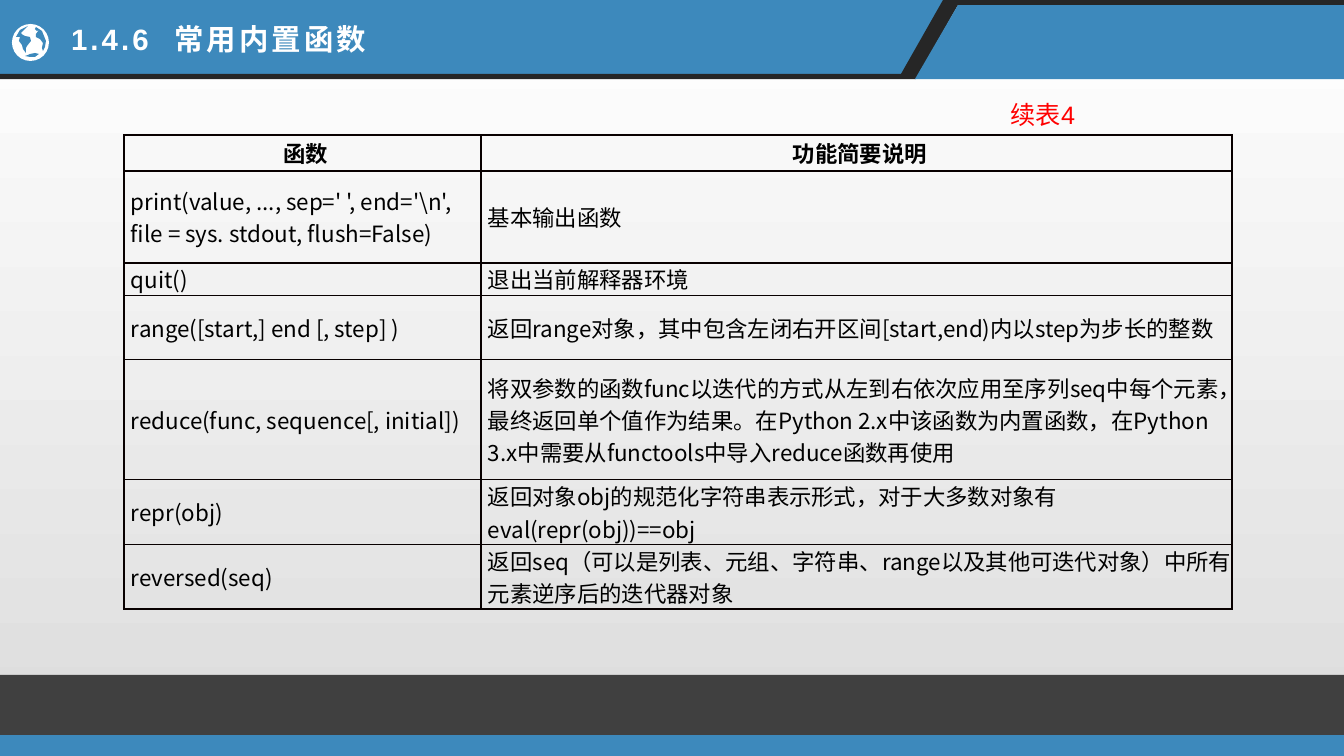
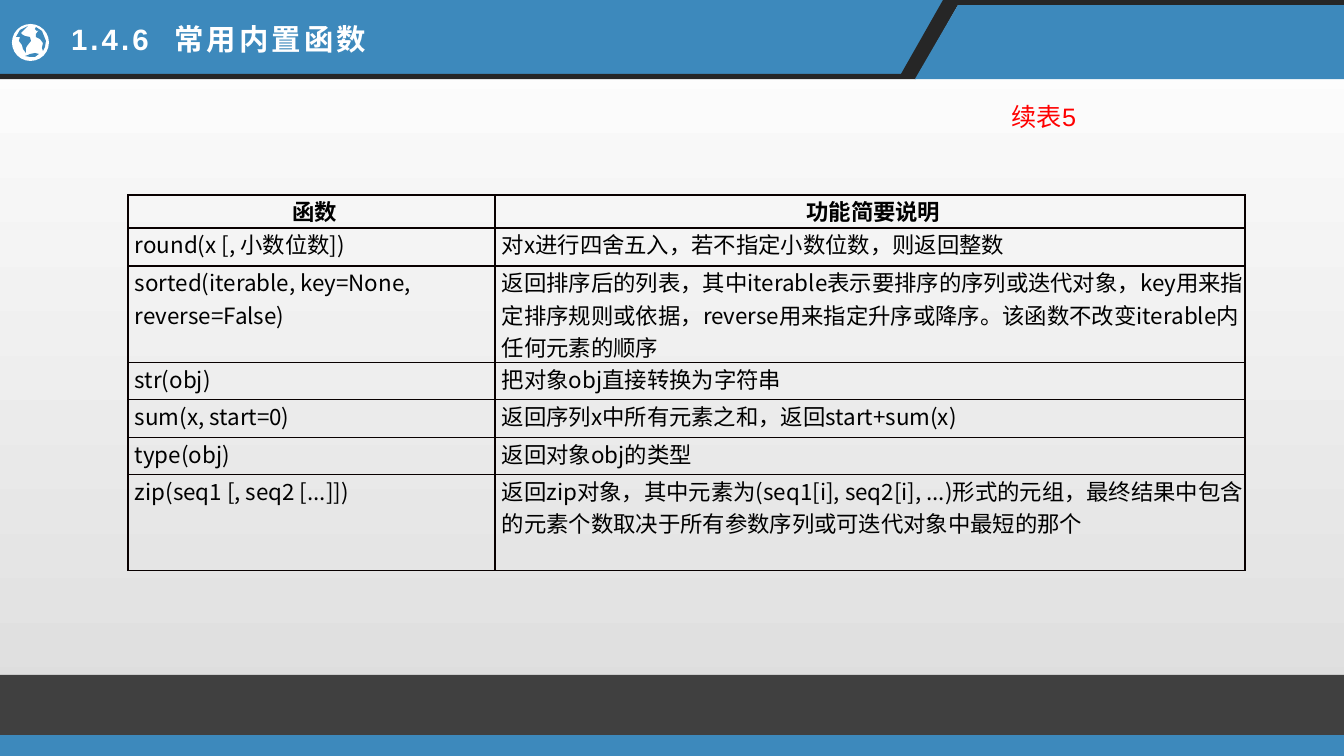
from dataclasses import dataclass

from lxml import etree
from pptx import Presentation
from pptx import util as u
from pptx.dml.color import RGBColor
from pptx.enum import shapes, text
from pptx.oxml import ns

EMU_PER_PX = 914400 / 100.8
SLIDE_WIDTH, SLIDE_HEIGHT = 1344, 756

BLUE = RGBColor(0x3D, 0x89, 0xBC)
CHARCOAL = RGBColor(0x26, 0x26, 0x26)
GREY = RGBColor(0x40, 0x40, 0x40)
PALE = RGBColor(0xDC, 0xDC, 0xDC)
WHITE = RGBColor(0xFF, 0xFF, 0xFF)
BLACK = RGBColor(0, 0, 0)
RULE = RGBColor(0x08, 0, 0)
RED = RGBColor(0xFF, 0, 0)

LATIN = "Arial"
CHINESE = "Noto Sans CJK SC"
TITLE = "1.4.6  常用内置函数"
HEADINGS = ("函数", "功能简要说明")

Outline = list[tuple[int, int]]


@dataclass(frozen=True)
class Band:
    outlines: list[Outline]
    color: RGBColor


@dataclass(frozen=True)
class Box:
    left: int
    top: int
    width: int
    height: int


@dataclass(frozen=True)
class FunctionPage:
    caption: str
    caption_box: Box
    left: int
    top: int
    columns: tuple[int, int]
    row_heights: list[int]
    anchor: text.MSO_ANCHOR
    functions: list[tuple[str, str]]


HEADER_BANDS = [
    Band([[(0, 0), (948, 0), (906, 74), (0, 74)]], BLUE),
    Band([[(943, 0), (1344, 0), (1344, 5), (958, 5), (916, 79),
           (0, 79), (0, 74), (901, 74)]], CHARCOAL),
    Band([[(958, 5), (1344, 5), (1344, 79), (915, 79)]], BLUE),
]
FOOTER_BANDS = [(Box(0, 735, SLIDE_WIDTH, 21), BLUE),
                (Box(0, 675, SLIDE_WIDTH, 60), GREY)]
GLOBE = Box(12, 24, 37, 37)
CONTINENTS = Band([
    [(46, 41), (45, 47), (43, 51), (42, 48), (43, 43), (40, 39), (36, 37),
     (36, 34), (39, 30), (37, 31), (35, 29), (36, 27), (42, 31)],
    [(28, 26), (26, 28), (24, 30), (21, 33), (23, 35), (25, 36), (30, 37),
     (31, 41), (27, 46), (26, 48), (26, 53), (23, 49), (22, 45), (19, 41),
     (20, 37), (16, 37), (20, 30)],
    [(25, 56), (28, 55), (30, 54), (35, 53), (39, 54), (35, 57), (30, 57)],
], BLUE)
TITLE_BOX = Box(61, 16, 595, 45)

PAGES = [
    FunctionPage(
        "续表4", Box(940, 94, 145, 40), 124, 135, (357, 751),
        [36, 92, 30, 60, 120, 60, 60], text.MSO_ANCHOR.MIDDLE,
        [
            (r"print(value, ..., sep=' ', end='\n', file = sys. stdout, flush=False)",
             "基本输出函数"),
            ("quit()", "退出当前解释器环境"),
            ("range([start,] end [, step] )",
             "返回range对象，其中包含左闭右开区间[start,end)内以step为步长的整数"),
            ("reduce(func, sequence[, initial])",
             "将双参数的函数func以迭代的方式从左到右依次应用至序列seq中每个元素，"
             "最终返回单个值作为结果。在Python 2.x中该函数为内置函数，"
             "在Python 3.x中需要从functools中导入reduce函数再使用"),
            ("repr(obj)",
             "返回对象obj的规范化字符串表示形式，对于大多数对象有eval(repr(obj))==obj"),
            ("reversed(seq)",
             "返回seq（可以是列表、元组、字符串、range以及其他可迭代对象）"
             "中所有元素逆序后的迭代器对象"),
        ]),
    FunctionPage(
        "续表5", Box(941, 96, 145, 40), 128, 195, (367, 750),
        [33, 38, 93, 37, 38, 37, 96], text.MSO_ANCHOR.TOP,
        [
            ("round(x [, 小数位数])", "对x进行四舍五入，若不指定小数位数，则返回整数"),
            ("sorted(iterable, key=None, reverse=False)",
             "返回排序后的列表，其中iterable表示要排序的序列或迭代对象，"
             "key用来指定排序规则或依据，reverse用来指定升序或降序。"
             "该函数不改变iterable内任何元素的顺序"),
            ("str(obj)", "把对象obj直接转换为字符串"),
            ("sum(x, start=0)", "返回序列x中所有元素之和，返回start+sum(x)"),
            ("type(obj)", "返回对象obj的类型"),
            ("zip(seq1 [, seq2 [...]])",
             "返回zip对象，其中元素为(seq1[i], seq2[i], ...)形式的元组，"
             "最终结果中包含的元素个数取决于所有参数序列或可迭代对象中最短的那个"),
        ]),
]


def px(length: int) -> u.Emu:
    return u.Emu(round(length * EMU_PER_PX))


def place(box: Box) -> tuple[u.Emu, u.Emu, u.Emu, u.Emu]:
    return px(box.left), px(box.top), px(box.width), px(box.height)


def paint(part, color: RGBColor) -> None:
    part.shadow.inherit = False
    part.fill.solid()
    part.fill.fore_color.rgb = color
    part.line.fill.background()


def draw_band(slide, band: Band) -> None:
    first, *others = band.outlines
    builder = slide.shapes.build_freeform(*first[0], scale=EMU_PER_PX)
    builder.add_line_segments(first[1:], close=True)
    for outline in others:
        builder.move_to(*outline[0])
        builder.add_line_segments(outline[1:], close=True)
    paint(builder.convert_to_shape(), band.color)


def draw_preset(slide, kind: shapes.MSO_SHAPE, box: Box, color: RGBColor) -> None:
    paint(slide.shapes.add_shape(kind, *place(box)), color)


def furnish_layout(layout, slide) -> None:
    for placeholder in list(layout.placeholders):
        if placeholder.placeholder_format.type != shapes.PP_PLACEHOLDER.TITLE:
            layout.shapes.element.remove(placeholder.element)
    for band in HEADER_BANDS:
        draw_band(slide, band)
    for box, color in FOOTER_BANDS:
        draw_preset(slide, shapes.MSO_SHAPE.RECTANGLE, box, color)
    draw_preset(slide, shapes.MSO_SHAPE.OVAL, GLOBE, WHITE)
    draw_band(slide, CONTINENTS)
    for part in list(slide.shapes):
        if not part.is_placeholder:
            layout.shapes.element.append(part.element)


def set_background(master) -> None:
    fill = master.background.fill
    fill.gradient()
    fill.gradient_angle = 270
    for stop, color in zip(fill.gradient_stops, (WHITE, PALE)):
        stop.color.rgb = color


def write(frame, words: str, size: int, color: RGBColor, font: str,
          align: text.PP_ALIGN, bold: bool = False, spacing: int = 0) -> None:
    paragraph = frame.paragraphs[0]
    paragraph.alignment = align
    run = paragraph.add_run()
    run.text = words
    run.font.size = u.Pt(size)
    run.font.bold = bold
    run.font.color.rgb = color
    run.font.name = font
    properties = run.font._element if hasattr(run.font, "_element") else run._r.get_or_add_rPr()
    etree.SubElement(properties, ns.qn("a:ea"), typeface=CHINESE)
    if spacing:
        properties.set("spc", str(spacing))


def rule_cell(cell) -> None:
    properties = cell._tc.get_or_add_tcPr()
    for side in ("lnL", "lnR", "lnT", "lnB"):
        line = etree.SubElement(properties, ns.qn(f"a:{side}"), w=str(u.Pt(1)))
        solid = etree.SubElement(line, ns.qn("a:solidFill"))
        etree.SubElement(solid, ns.qn("a:srgbClr"), val=str(RULE))
    cell.fill.background()


def draw_functions(slide, page: FunctionPage) -> None:
    rows = [HEADINGS, *page.functions]
    box = Box(page.left, page.top, sum(page.columns), sum(page.row_heights))
    table = slide.shapes.add_table(len(rows), len(HEADINGS), *place(box)).table
    table.first_row = table.horz_banding = False
    for column, width in zip(table.columns, page.columns):
        column.width = px(width)
    for row, height in zip(table.rows, page.row_heights):
        row.height = px(height)
    for r, words in enumerate(rows):
        heading = r == 0
        align = text.PP_ALIGN.CENTER if heading else text.PP_ALIGN.LEFT
        for c, entry in enumerate(words):
            cell = table.cell(r, c)
            cell.margin_left = px(7)
            cell.margin_top = cell.margin_right = cell.margin_bottom = 0
            cell.vertical_anchor = page.anchor
            rule_cell(cell)
            write(cell.text_frame, entry, 16, BLACK, CHINESE, align, bold=heading)


def draw_caption(slide, page: FunctionPage) -> None:
    frame = slide.shapes.add_textbox(*place(page.caption_box)).text_frame
    frame.word_wrap = True
    write(frame, page.caption, 18, RED, LATIN, text.PP_ALIGN.RIGHT)


def set_title(slide) -> None:
    title = slide.shapes.title
    title.left, title.top, title.width, title.height = place(TITLE_BOX)
    frame = title.text_frame
    frame.vertical_anchor = text.MSO_ANCHOR.MIDDLE
    frame.auto_size = text.MSO_AUTO_SIZE.NONE
    write(frame, TITLE, 21, WHITE, LATIN, text.PP_ALIGN.LEFT, bold=True, spacing=220)


def main() -> None:
    prs = Presentation()
    prs.slide_width, prs.slide_height = px(SLIDE_WIDTH), px(SLIDE_HEIGHT)
    set_background(prs.slide_master)
    layout = prs.slide_layouts.get_by_name("Title Only")
    slides = [prs.slides.add_slide(layout) for _ in PAGES]
    furnish_layout(layout, slides[0])
    for slide, page in zip(slides, PAGES):
        set_title(slide)
        draw_functions(slide, page)
        draw_caption(slide, page)
    prs.save("out.pptx")


if __name__ == "__main__":
    main()
